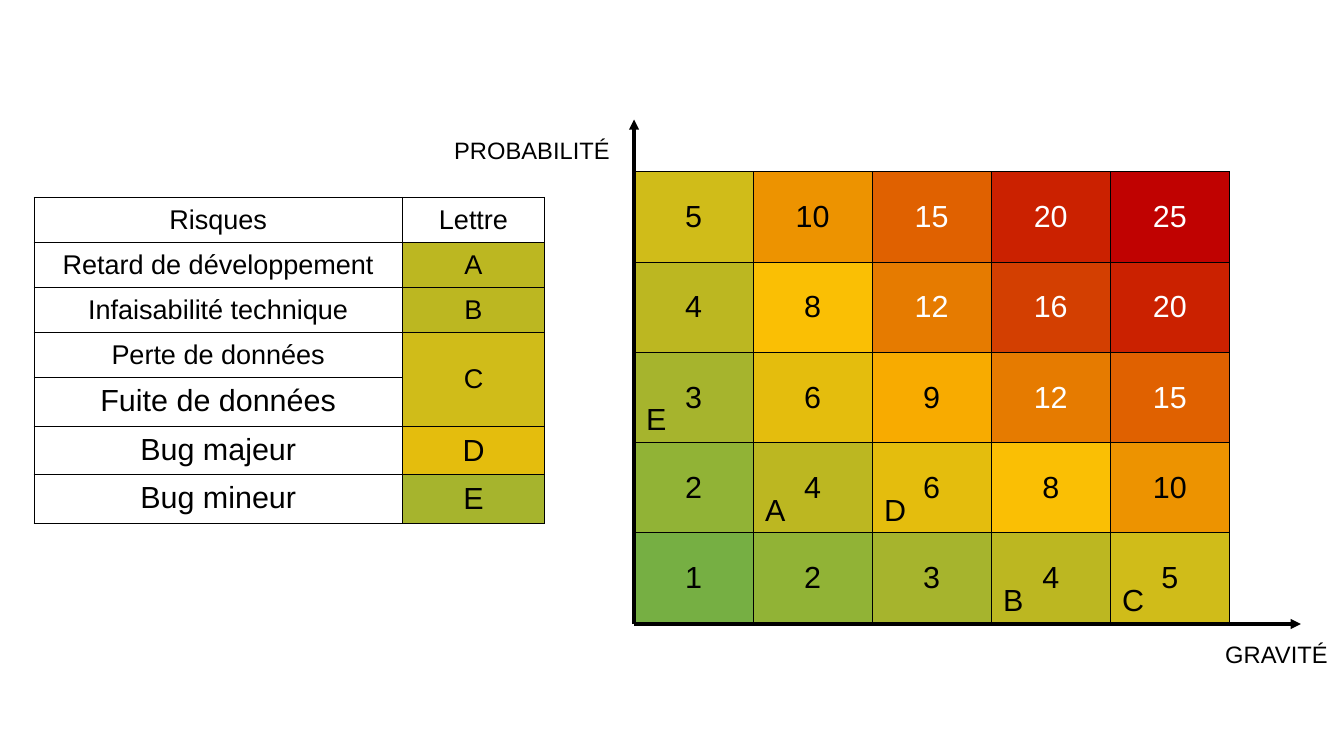
from lxml import etree
from pptx import Presentation
from pptx.dml.color import RGBColor
from pptx.enum.shapes import MSO_CONNECTOR
from pptx.enum.text import MSO_ANCHOR, MSO_AUTO_SIZE, PP_ALIGN
from pptx.oxml import parse_xml
from pptx.oxml.ns import nsdecls, qn
from pptx.util import Cm, Pt

COLOURS = {"black": "000000", "white": "FFFFFF"}
# Cell colour for each probability x severity score
SCORE_COLOURS = {
    1: "76AF43", 2: "91B336", 3: "A6B42D", 4: "BCB721", 5: "D0BC19",
    6: "E4BD0D", 8: "FABF04", 9: "F8AB00", 10: "ED9300", 12: "E67B00",
    15: "E06100", 16: "D33F01", 20: "CB2100", 25: "C00201",
}


def add_text(text_frame, text, size, colour="black", alignment=PP_ALIGN.CENTER):
    paragraph = text_frame.paragraphs[0]
    paragraph.alignment = alignment
    run = paragraph.add_run()
    run.text = text
    run.font.name = "Arial"
    run.font.size = Pt(size)
    run.font.color.rgb = RGBColor.from_string(COLOURS[colour])


def format_cell(cell, fill=None):
    cell.margin_left = cell.margin_right = Cm(0.1)
    cell.margin_top = cell.margin_bottom = Cm(0.13)
    if fill:
        cell.fill.solid()
        cell.fill.fore_color.rgb = RGBColor.from_string(fill)
    else:
        cell.fill.background()
    properties = cell._tc.get_or_add_tcPr()
    for index, side in enumerate(("lnL", "lnR", "lnT", "lnB")):
        properties.insert(index, parse_xml(
            f'<a:{side} {nsdecls("a")} w="{Pt(0.57)}"><a:solidFill>'
            f'<a:srgbClr val="{COLOURS["black"]}"/></a:solidFill></a:{side}>'))


presentation = Presentation()
presentation.slide_width = Cm(28)
presentation.slide_height = Cm(15.75)
slide = presentation.slides.add_slide(presentation.slide_layouts[6])
shapes = slide.shapes

# Risk matrix: each cell holds probability x severity
LEVELS = 5
MATRIX_LEFT, MATRIX_TOP = 13.21, 3.58
CELL_WIDTH, CELL_HEIGHT = 2.48, 1.88
matrix = shapes.add_table(
    LEVELS, LEVELS, Cm(MATRIX_LEFT), Cm(MATRIX_TOP),
    Cm(LEVELS * CELL_WIDTH), Cm(LEVELS * CELL_HEIGHT)).table
matrix.first_row = matrix.horz_banding = False
for row in matrix.rows:
    row.height = Cm(CELL_HEIGHT)
for column in matrix.columns:
    column.width = Cm(CELL_WIDTH)
for probability in range(1, LEVELS + 1):
    for severity in range(1, LEVELS + 1):
        score = probability * severity
        cell = matrix.cell(LEVELS - probability, severity - 1)
        format_cell(cell, SCORE_COLOURS[score])
        cell.vertical_anchor = MSO_ANCHOR.MIDDLE
        add_text(cell.text_frame, str(score), 18, "white" if score >= 12 else "black")

# Axes from the bottom left corner of the matrix
AXIS_BOTTOM = 13
for end_x, end_y in ((27.1, AXIS_BOTTOM), (MATRIX_LEFT, 2.49)):
    axis = shapes.add_connector(
        MSO_CONNECTOR.STRAIGHT, Cm(MATRIX_LEFT), Cm(AXIS_BOTTOM), Cm(end_x), Cm(end_y))
    axis.line.width = Pt(2)
    axis.line.color.rgb = RGBColor.from_string(COLOURS["black"])
    etree.SubElement(axis.line._get_or_add_ln(), qn("a:tailEnd"), type="triangle")
    etree.SubElement(axis._element.spPr, qn("a:effectLst"))

# Risk list: name, letter, score that gives the colour, text size
risks = [
    ("Risques", "Lettre", None, 16),
    ("Retard de développement", "A", 4, 16),
    ("Infaisabilité technique", "B", 4, 16),
    ("Perte de données", "C", 5, 16),
    ("Fuite de données", "", 5, 18),
    ("Bug majeur", "D", 6, 18),
    ("Bug mineur", "E", 3, 18),
]
risk_table = shapes.add_table(
    len(risks), 2, Cm(0.71), Cm(4.11), Cm(10.64), Cm(6.78)).table
risk_table.first_row = risk_table.horz_banding = False
risk_table.columns[0].width = Cm(7.67)
risk_table.columns[1].width = Cm(2.97)
for index, (name, letter, score, size) in enumerate(risks):
    risk_table.rows[index].height = Cm(0.94 if size == 16 else 1.01)
    name_cell, letter_cell = risk_table.cell(index, 0), risk_table.cell(index, 1)
    format_cell(name_cell, COLOURS["white"] if size == 16 else None)
    format_cell(letter_cell, SCORE_COLOURS.get(score, COLOURS["white"]))
    name_cell.vertical_anchor = MSO_ANCHOR.MIDDLE if size == 16 else MSO_ANCHOR.TOP
    letter_cell.vertical_anchor = MSO_ANCHOR.MIDDLE
    add_text(name_cell.text_frame, name, size)
    if letter:
        add_text(letter_cell.text_frame, letter, size)
risk_table.cell(3, 1).merge(risk_table.cell(4, 1))

# Labels: axis names, then risk letters placed by severity and probability
labels = [
    ("PROBABILITÉ", 9.09, 2.7, 3.99, 0.82, 14, PP_ALIGN.CENTER),
    ("GRAVITÉ", 24.6, 13.2, 3.99, 0.82, 14, PP_ALIGN.CENTER),
]
positions = {"A": (2, 2), "B": (4, 1), "C": (5, 1), "D": (3, 2), "E": (1, 3)}
for letter, (severity, probability) in positions.items():
    left = MATRIX_LEFT + (severity - 1) * CELL_WIDTH
    top = MATRIX_TOP + (LEVELS - probability) * CELL_HEIGHT + 0.88
    labels.append((letter, left, top, 1, 1, 18, PP_ALIGN.LEFT))
for text, left, top, width, height, size, alignment in labels:
    label = shapes.add_textbox(Cm(left), Cm(top), Cm(width), Cm(height))
    label.text_frame.word_wrap = True
    label.text_frame.auto_size = MSO_AUTO_SIZE.SHAPE_TO_FIT_TEXT
    add_text(label.text_frame, text, size, alignment=alignment)

presentation.save("out.pptx")
